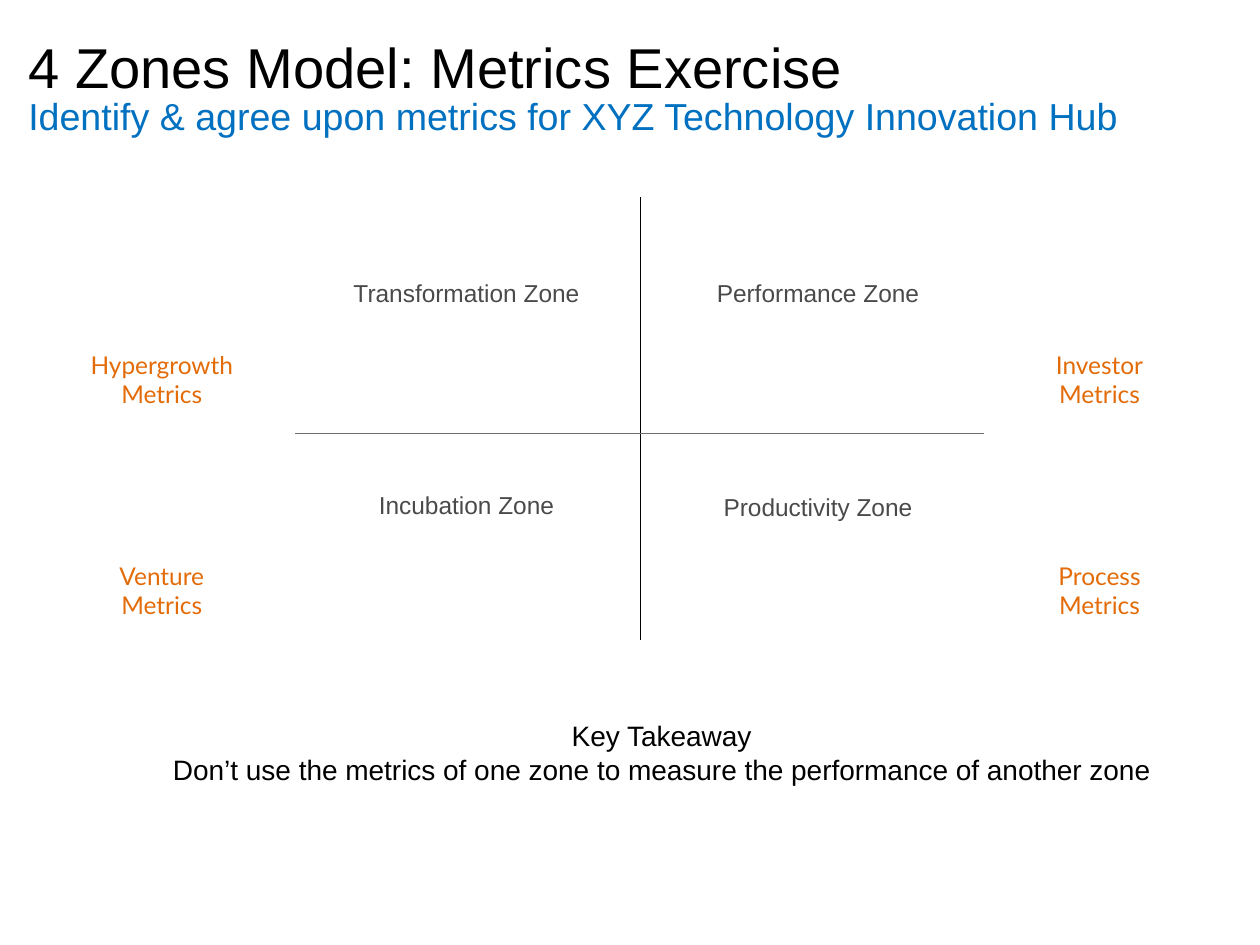
from lxml import etree
from pptx import Presentation
from pptx.dml.color import RGBColor
from pptx.enum.shapes import MSO_CONNECTOR, MSO_SHAPE
from pptx.enum.text import PP_ALIGN
from pptx.oxml.ns import qn
from pptx.util import Cm, Pt

LEFT, MID = PP_ALIGN.LEFT, PP_ALIGN.CENTER
LINE = MSO_CONNECTOR.STRAIGHT
RECT = MSO_SHAPE.RECTANGLE
HUES = {"ink": "000000", "blue": "0070C0", "gray": "4A4A4A",
        "gold": "E36C09", "rule": "6F6F6F", "white": "FFFFFF"}


def hue(name):
    return RGBColor.from_string(HUES[name])


def write(para, text, size=14.9, lead=17.9, font="Arial", color="ink", align=MID):
    para.alignment = align
    para.line_spacing = Pt(lead)
    run = para.add_run()
    run.text = text
    run.font.size = Pt(size)
    run.font.name = font
    run.font.color.rgb = hue(color)


class Deck:
    def __init__(self, wide, high):
        self.file = Presentation()
        self.file.slide_width, self.file.slide_height = Cm(wide), Cm(high)
        self.slide = self.file.slides.add_slide(self.file.slide_layouts[6])

    def text(self, x, y, wide, high, rows):
        box = self.slide.shapes.add_textbox(Cm(x), Cm(y), Cm(wide), Cm(high))
        frame = box.text_frame
        frame.word_wrap = True
        frame.margin_left = frame.margin_right = 0
        frame.margin_top = frame.margin_bottom = 0
        for i, (words, form) in enumerate(rows):
            para = frame.add_paragraph() if i else frame.paragraphs[0]
            write(para, words, **form)

    def label(self, mid, top, wide, lines, **form):
        rows = [(line, form) for line in lines]
        self.text(mid - wide / 2, top, wide, 0.65 * len(rows), rows)

    def panel(self, x, y, wide, high):
        panel = self.slide.shapes.add_shape(RECT, Cm(x), Cm(y), Cm(wide), Cm(high))
        panel.shadow.inherit = False
        panel.fill.solid()
        panel.fill.fore_color.rgb = hue("white")
        panel.line.fill.background()

    def line(self, x1, y1, x2, y2, color):
        line = self.slide.shapes.add_connector(LINE, Cm(x1), Cm(y1), Cm(x2), Cm(y2))
        line.line.color.rgb = hue(color)
        line.line.width = Pt(0.75)
        etree.SubElement(line._element.spPr, qn("a:effectLst"))


def main():
    deck = Deck(27.1, 20.32)
    deck.text(0.61, 0.91, 26.29, 3.33, [
        ("4 Zones Model: Metrics Exercise",
         dict(size=34.2, lead=34.8, align=LEFT)),
        ("Identify & agree upon metrics for XYZ Technology Innovation Hub",
         dict(size=22.9, lead=23.3, color="blue", align=LEFT)),
    ])

    deck.panel(14.99, 5.89, 5.21, 0.91)
    zones = [
        (10.03, 5.98, 5.5, "Transformation"),
        (17.59, 5.98, 4.9, "Performance"),
        (10.03, 10.54, 4.11, "Incubation"),
        (17.59, 10.58, 4.57, "Productivity"),
    ]
    for mid, top, wide, name in zones:
        deck.label(mid, top, wide, [f"{name} Zone"], color="gray")

    kinds = [
        (3.48, 7.52, 3.38, "Hypergrowth"),
        (23.65, 7.52, 2.08, "Investor"),
        (3.48, 12.06, 2.01, "Venture"),
        (23.65, 12.06, 1.91, "Process"),
    ]
    for mid, top, wide, name in kinds:
        deck.label(mid, top, wide, [name, "Metrics"], font="Lato", color="gold")

    deck.label(14.23, 15.46, 21.31, [
        "Key Takeaway",
        "Don’t use the metrics of one zone to measure the performance of another zone",
    ], size=17.1, lead=20.5)

    deck.line(13.77, 4.24, 13.77, 13.77, "ink")
    deck.line(6.35, 9.32, 21.17, 9.32, "rule")
    deck.file.save("out.pptx")


if __name__ == "__main__":
    main()
